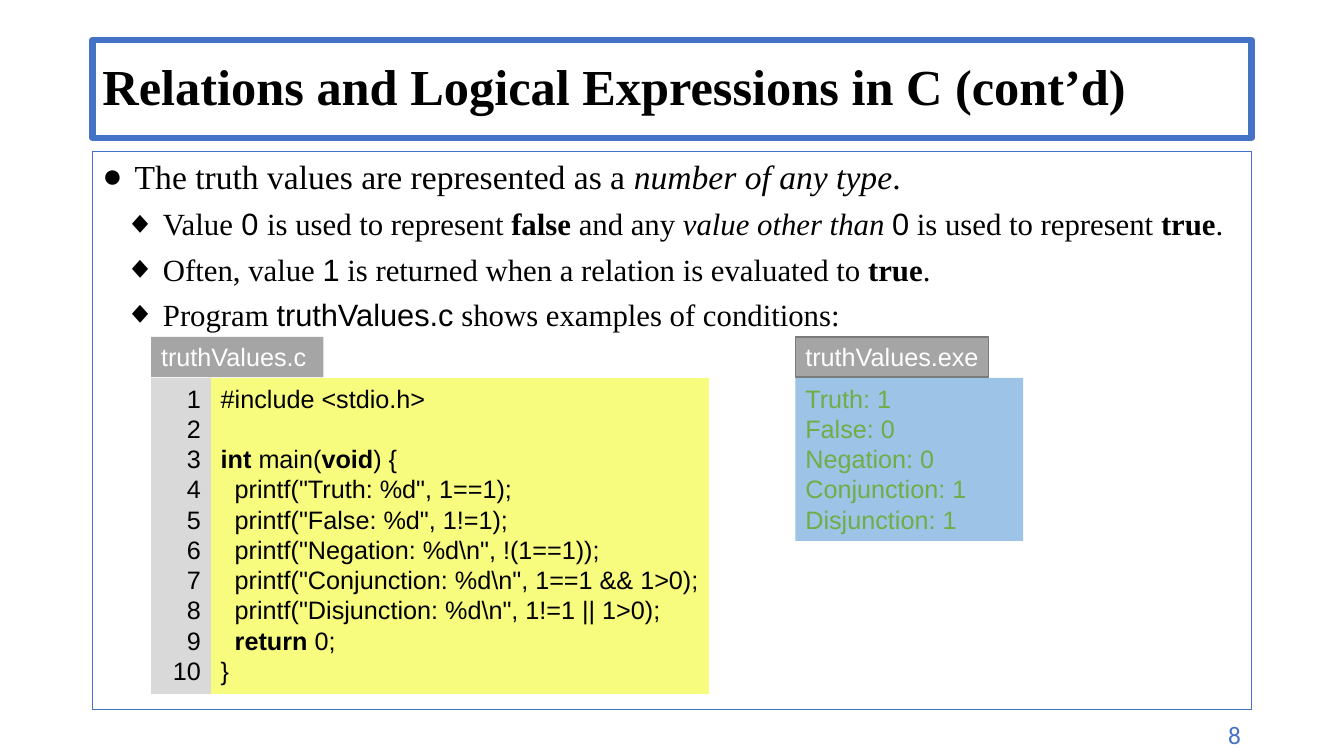
from lxml.etree import SubElement
from pptx import Presentation
from pptx.dml.color import RGBColor
from pptx.enum.shapes import MSO_SHAPE as Shape
from pptx.enum.text import MSO_ANCHOR as Anchor, MSO_AUTO_SIZE as AutoSize, PP_ALIGN as Align
from pptx.oxml.ns import qn
from pptx.util import Inches, Pt

UNITS_WIDE, UNITS_HIGH = 160, 90
UNIT = Inches(1) / 12
SERIF, SANS = "Times New Roman", "Arial"
BLUE, BLACK, WHITE, GREY = "4472C4", "000000", "FFFFFF", "A5A5A5"
LEFT, WIDTH = 11, 138
LISTING_LEFT, RESULT_LEFT, GUTTER = 18, 94.7, 7.1
LABEL_TOP, LABEL_HEIGHT, PANEL_TOP = 40.1, 4.8, 45

BULLETS = [
    (0, [("The truth values are represented as a ", ""), ("number of any type", "i"), (".", "")]),
    (1, [("Value", ""), (" 0 ", "s"), ("is used to represent ", ""), ("false ", "b"),
         ("and any ", ""), ("value other than ", "i"), ("0", "s"),
         (" is used to represent ", ""), ("true", "b"), (".", "")]),
    (1, [("Often, value ", ""), ("1", "s"), (" is returned when a relation is evaluated to ", ""),
         ("true", "b"), (".", "")]),
    (1, [("Program ", ""), ("truthValues.c", "s"), (" shows examples of conditions:", "")]),
]
BULLET_STYLES = [("●", 0.32, 0.32, 24), ("◆", 0.6, 0.38, 22)]

CODE = [
    [("#include <stdio.h>", "")],
    [("", "")],
    [("int ", "b"), ("main(", ""), ("void", "b"), (") {", "")],
    [('  printf("Truth: %d", 1==1);', "")],
    [('  printf("False: %d", 1!=1);', "")],
    [('  printf("Negation: %d\\n", !(1==1));', "")],
    [('  printf("Conjunction: %d\\n", 1==1 && 1>0);', "")],
    [('  printf("Disjunction: %d\\n", 1!=1 || 1>0);', "")],
    [("  ", ""), ("return ", "b"), ("0;", "")],
    [("}", "")],
]
RESULTS = ["Truth: 1", "False: 0", "Negation: 0", "Conjunction: 1", "Disjunction: 1"]


def color(value):
    """Turn a hex string into a colour."""
    return RGBColor.from_string(value)


def units(*lengths):
    """Convert grid units to slide lengths."""
    return [round(length * UNIT) for length in lengths]


def place(shape, left, top, width, height):
    """Move a shape to a place on the grid."""
    shape.left, shape.top, shape.width, shape.height = units(left, top, width, height)


def outline(shape, value, points):
    """Give a shape a solid outline."""
    shape.line.color.rgb = color(value)
    shape.line.width = Pt(points)


def add_spans(para, spans, size, face, ink):
    """Write spans marked b (bold), i (italic) or s (sans) into a paragraph."""
    for text, marks in spans:
        span = para.add_run()
        span.text = text
        font = span.font
        font.size, font.name = Pt(size), SANS if "s" in marks else face
        font.bold, font.italic = "b" in marks, "i" in marks
        font.color.rgb = color(ink)


def add_lines(frame, lines, ink=BLACK, align=Align.LEFT, face=SANS):
    """Write one paragraph per line into a text frame."""
    for index, spans in enumerate(lines):
        para = frame.add_paragraph() if index else frame.paragraphs[0]
        para.alignment = align
        add_spans(para, spans, 18, face, ink)


def add_panel(shapes, area, fill, lines, ink=BLACK, align=Align.LEFT):
    """Add a filled rectangle holding lines of text."""
    box = shapes.add_shape(Shape.RECTANGLE, *units(*area))
    box.shadow.inherit = False
    box.fill.solid()
    box.fill.fore_color.rgb = color(fill)
    box.line.fill.background()
    frame = box.text_frame
    frame.word_wrap, frame.vertical_anchor = True, Anchor.TOP
    if align == Align.LEFT:
        frame.margin_right = 0
    add_lines(frame, lines, ink, align)
    return box


def add_label(page, left, width, name):
    """Add a grey file name label above a panel."""
    return add_panel(page.shapes, (left, LABEL_TOP, width, LABEL_HEIGHT), GREY, [[(name, "")]], WHITE)


def fill_title(title, text):
    """Place and format the slide title."""
    place(title, LEFT, 4.8, WIDTH, 11.6)
    outline(title, BLUE, 4.5)
    frame = title.text_frame
    frame.auto_size, frame.vertical_anchor = AutoSize.NONE, Anchor.MIDDLE
    para = frame.paragraphs[0]
    para.alignment, para.line_spacing = Align.LEFT, 0.9
    add_spans(para, [(text, "b")], 36, SERIF, BLACK)


def fill_body(body):
    """Place the body and write its bulleted list."""
    place(body, LEFT, 18, WIDTH, 66.5)
    outline(body, BLUE, 1)
    frame = body.text_frame
    frame.auto_size, frame.vertical_anchor = AutoSize.NONE, Anchor.TOP
    for index, (level, spans) in enumerate(BULLETS):
        para = frame.add_paragraph() if index else frame.paragraphs[0]
        mark, margin, hanging, size = BULLET_STYLES[level]
        para.level = level
        props = para._p.get_or_add_pPr()
        props.set("marL", str(Inches(margin)))
        props.set("indent", str(-Inches(hanging)))
        SubElement(props, qn("a:buChar")).set("char", mark)
        para.space_before = Pt(6 if index else 0)
        add_spans(para, spans, size, SERIF, BLACK)


def add_listing(page):
    """Add the source code with its line numbers as one group."""
    shapes = page.shapes.add_group_shape().shapes
    height = 37.6
    numbers = [[(str(number), "")] for number in range(1, len(CODE) + 1)]
    add_panel(shapes, (LISTING_LEFT + GUTTER, PANEL_TOP, 59.3, height), "F7FC7E", CODE)
    add_panel(shapes, (LISTING_LEFT, PANEL_TOP, GUTTER, height), "D9D9D9", numbers, align=Align.RIGHT)


def add_page_number(page, number):
    """Add the page number at the bottom right."""
    box = page.shapes.add_textbox(*units(130.1, 85, 18.8, LABEL_HEIGHT))
    box.text_frame.word_wrap = True
    add_lines(box.text_frame, [[(number, "")]], BLUE, Align.RIGHT, "Calibri")


def main():
    """Build and save the slide."""
    deck = Presentation()
    deck.slide_width, deck.slide_height = units(UNITS_WIDE, UNITS_HIGH)
    page = deck.slides.add_slide(deck.slide_layouts[1])
    fill_title(page.shapes.title, "Relations and Logical Expressions in C (cont’d)")
    fill_body(page.placeholders[1])
    add_label(page, LISTING_LEFT, 20.5, "truthValues.c")
    results = [[(line, "")] for line in RESULTS]
    add_panel(page.shapes, (RESULT_LEFT, PANEL_TOP, 27.1, 19.4), "9DC3E6", results, "70AD47")
    outline(add_label(page, RESULT_LEFT, 23, "truthValues.exe"), "7A7A7A", 1)
    add_listing(page)
    add_page_number(page, "8")
    deck.save("out.pptx")


if __name__ == "__main__":
    main()
